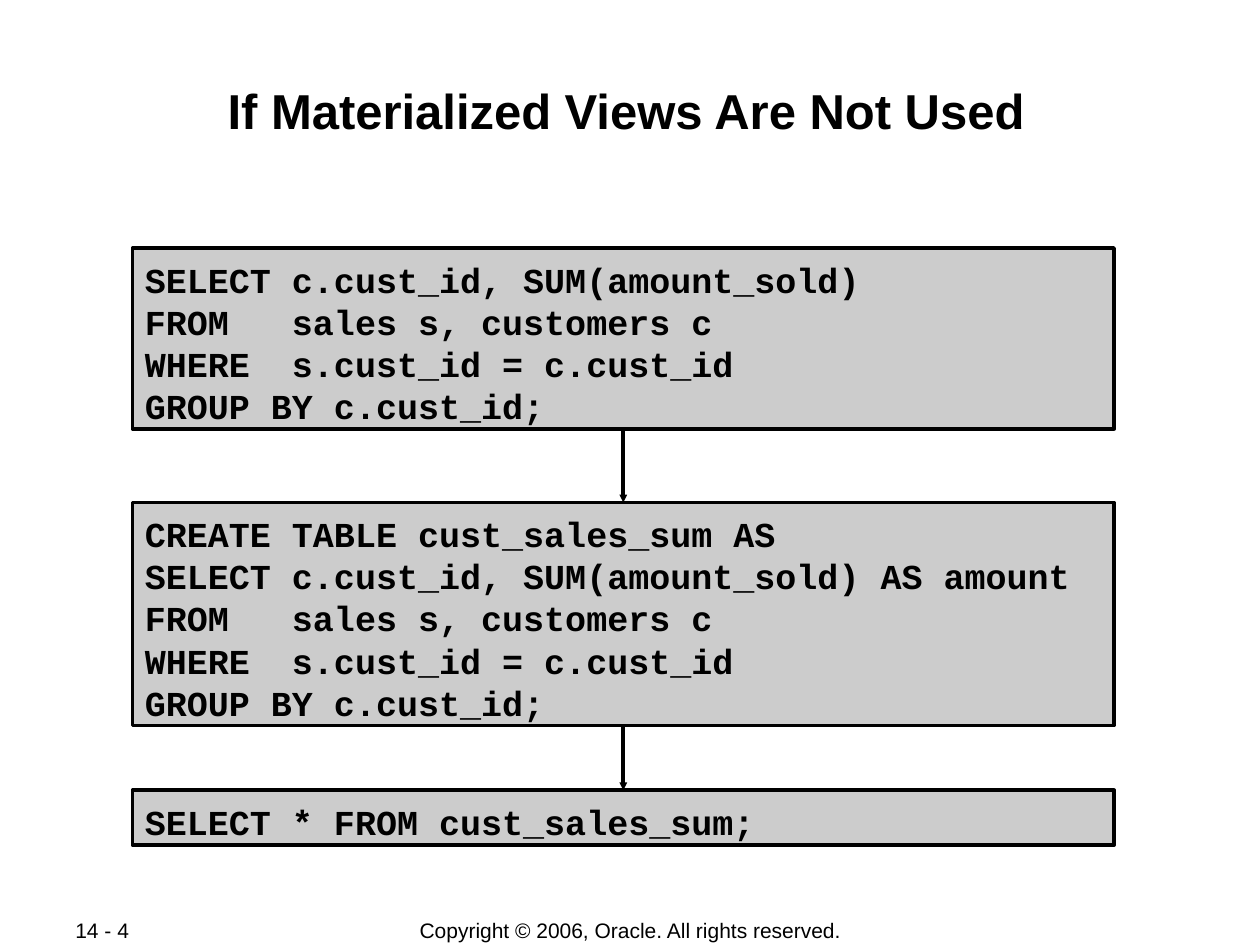
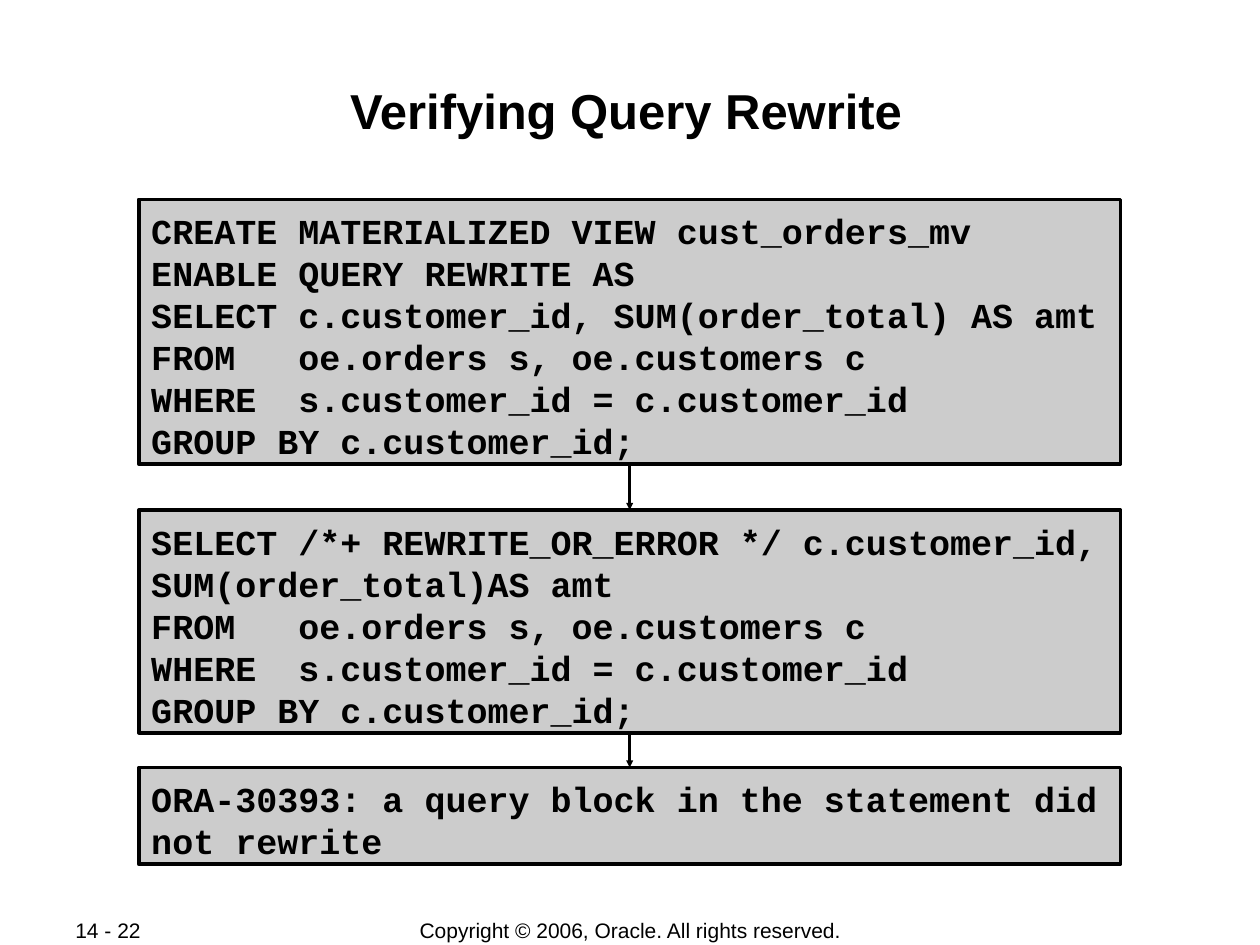
"""Builds two slides of SQL code boxes linked by arrows."""
from dataclasses import dataclass
from itertools import pairwise

from lxml.etree import SubElement
from pptx import Presentation
from pptx.dml.color import RGBColor
from pptx.enum.shapes import MSO_CONNECTOR as Connector, MSO_SHAPE as Shape
from pptx.enum.text import MSO_ANCHOR as Anchor, MSO_AUTO_SIZE as AutoSize, PP_ALIGN as Align
from pptx.oxml.ns import qn
from pptx.util import Cm, Pt


@dataclass(frozen=True)
class Theme:
    """Colours, fonts and sizes shared by the slides."""
    ink: RGBColor = RGBColor(0, 0, 0)
    paper: RGBColor = RGBColor(255, 255, 255)
    code_fill: RGBColor = RGBColor(0xCC, 0xCC, 0xCC)
    text_font: str = "Arial"
    code_font: str = "Courier New"
    title_size: int = 28
    code_size: int = 20
    code_pitch: int = 24
    footer_size: int = 12
    border: float = 2


def write_text(shape, lines, font, size, color, bold=False, align=Align.LEFT,
               anchor=Anchor.TOP, margins=(0.25, 0.13, 0.25, 0.13), wrap=True, pitch=None):
    """Fill a shape with one formatted paragraph per line."""
    frame = shape.text_frame
    frame.auto_size = AutoSize.NONE
    frame.word_wrap = wrap
    frame.vertical_anchor = anchor
    frame.margin_left, frame.margin_top, frame.margin_right, frame.margin_bottom = map(Cm, margins)
    frame.text = "\n".join(lines)
    for paragraph in frame.paragraphs:
        paragraph.alignment = align
        paragraph.space_before = Pt(0)
        if pitch:
            paragraph.line_spacing = Pt(pitch)
        for run in paragraph.runs:
            run.font.name, run.font.size, run.font.bold = font, Pt(size), bold
            run.font.color.rgb = color


class SlideBuilder:
    """Holds the theme and the current slide."""

    def __init__(self, presentation, theme):
        """Keep the presentation and the theme."""
        self.presentation = presentation
        self.theme = theme
        self.slide = None

    def start(self, title, number):
        """Add a slide with its title and footer."""
        self.slide = self.presentation.slides.add_slide(self.presentation.slide_layouts[5])
        self.slide.background.fill.solid()
        self.slide.background.fill.fore_color.rgb = self.theme.paper
        self.title(title)
        self.footer(number, 1.27, 2.69, Align.LEFT)
        self.footer("Copyright © 2006, Oracle. All rights reserved.", 7.01, 11.4, Align.CENTER)

    def title(self, text):
        """Place and format the title placeholder."""
        shape = self.slide.shapes.title
        shape.left, shape.top, shape.width, shape.height = map(Cm, (2.46, 1.47, 20.32, 2.44))
        write_text(shape, [text], self.theme.text_font, self.theme.title_size, self.theme.ink,
                   bold=True, align=Align.CENTER, margins=(0.03, 0.15, 0.03, 0.03))

    def footer(self, text, left, width, align):
        """Add one footer text."""
        box = self.slide.shapes.add_textbox(Cm(left), Cm(18.49), Cm(width), Cm(0.52))
        write_text(box, [text], self.theme.text_font, self.theme.footer_size, self.theme.ink,
                   align=align, anchor=Anchor.MIDDLE, wrap=False)

    def code_box(self, code, left, top, rows):
        """Add a code box as tall as its rows of text."""
        height = Cm(0.26) + rows * Pt(self.theme.code_pitch)
        box = self.slide.shapes.add_shape(Shape.RECTANGLE, Cm(left), Cm(top), Cm(19.79), height)
        box.shadow.inherit = False
        box.fill.solid()
        box.fill.fore_color.rgb = self.theme.code_fill
        box.line.color.rgb = self.theme.ink
        box.line.width = Pt(self.theme.border)
        write_text(box, code, self.theme.code_font, self.theme.code_size, self.theme.ink,
                   bold=True, margins=(0.25, 0.21, 0.25, 0.05), pitch=self.theme.code_pitch)
        return box

    def arrow(self, upper, lower, width):
        """Join two boxes with a downward arrow."""
        arrow = self.slide.shapes.add_connector(Connector.STRAIGHT, 0, 0, 0, 0)
        arrow.begin_connect(upper, 2)
        arrow.end_connect(lower, 0)
        arrow.line.color.rgb = self.theme.ink
        arrow.line.width = Pt(width)
        SubElement(arrow.line._get_or_add_ln(), qn("a:tailEnd"), type="triangle", w="sm", len="sm")
        SubElement(arrow._element.spPr, qn("a:effectLst"))

    def code_flow(self, left, steps, arrow_width):
        """Add code boxes given as top, rows and code, joined by arrows."""
        boxes = [self.code_box(code, left, top, rows) for top, rows, code in steps]
        for upper, lower in pairwise(boxes):
            self.arrow(upper, lower, arrow_width)


def main():
    """Build and save the presentation."""
    presentation = Presentation()
    presentation.slide_width, presentation.slide_height = Cm(25.4), Cm(19.05)
    builder = SlideBuilder(presentation, Theme())

    sales_source = ["FROM   sales s, customers c",
                    "WHERE  s.cust_id = c.cust_id",
                    "GROUP BY c.cust_id;"]
    builder.start("If Materialized Views Are Not Used", "14 - 4")
    builder.code_flow(2.67, [
        (5.0, 4, ["SELECT c.cust_id, SUM(amount_sold)", *sales_source]),
        (10.13, 5, ["CREATE TABLE cust_sales_sum AS",
                    "SELECT c.cust_id, SUM(amount_sold) AS amount", *sales_source]),
        (15.93, 1, ["SELECT * FROM cust_sales_sum;"]),
    ], arrow_width=2.25)

    orders_source = ["FROM   oe.orders s, oe.customers c",
                     "WHERE  s.customer_id = c.customer_id",
                     "GROUP BY c.customer_id;"]
    builder.start("Verifying Query Rewrite", "14 - 22")
    builder.code_flow(2.8, [
        (4.02, 6, ["CREATE MATERIALIZED VIEW cust_orders_mv",
                   "ENABLE QUERY REWRITE AS",
                   "SELECT c.customer_id, SUM(order_total) AS amt", *orders_source]),
        (10.28, 5, ["SELECT /*+ REWRITE_OR_ERROR */ c.customer_id, SUM(order_total)AS amt",
                    *orders_source]),
        (15.47, 2, ["ORA-30393: a query block in the statement did not rewrite"]),
    ], arrow_width=2)

    presentation.save("out.pptx")


if __name__ == "__main__":
    main()
